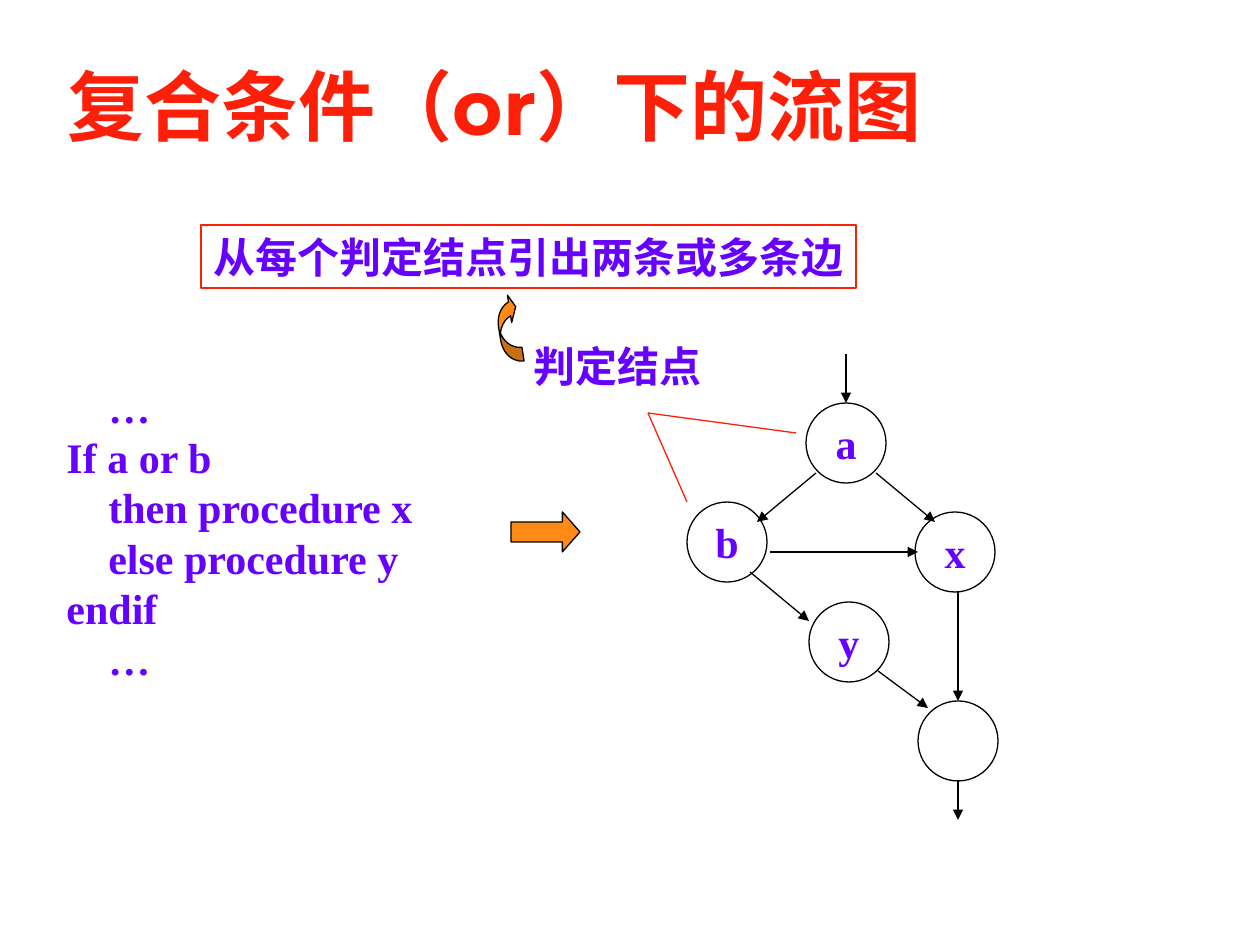
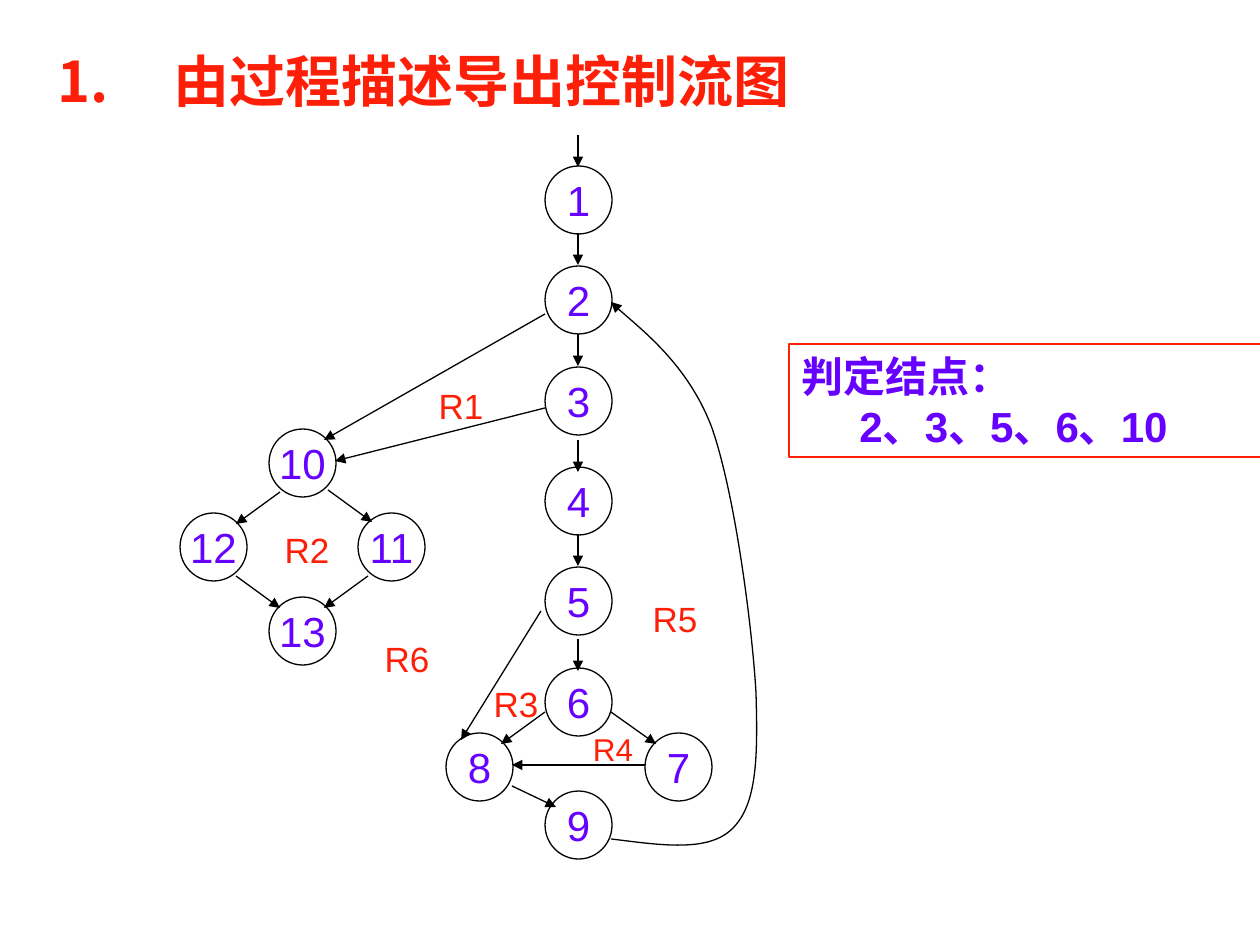
from dataclasses import dataclass
from lxml import etree
from pptx import Presentation
from pptx.dml.color import RGBColor
from pptx.enum.shapes import MSO_CONNECTOR, MSO_SHAPE
from pptx.enum.text import MSO_ANCHOR, MSO_AUTO_SIZE, PP_ALIGN
from pptx.oxml.ns import qn
from pptx.util import Emu, Pt

LINE = MSO_CONNECTOR.STRAIGHT
OVAL = MSO_SHAPE.OVAL
BLOCK = MSO_SHAPE.RIGHT_ARROW
BEND = MSO_SHAPE.CURVED_RIGHT_ARROW
MIDDLE = MSO_ANCHOR.MIDDLE
TOP = MSO_ANCHOR.TOP
GROW = MSO_AUTO_SIZE.SHAPE_TO_FIT_TEXT
LEFT = PP_ALIGN.LEFT
CENTER = PP_ALIGN.CENTER
SCALE = 914400 / 126


@dataclass(frozen=True)
class Theme:
    red: RGBColor = RGBColor(0xFE, 0x1F, 0x08)
    violet: RGBColor = RGBColor(0x66, 0x00, 0xFF)
    orange: RGBColor = RGBColor(0xFF, 0x8B, 0x17)
    black: RGBColor = RGBColor(0, 0, 0)
    head: str = "Montserrat"
    serif: str = "Times New Roman"
    sans: str = "Arial"
    big: int = 44
    title: int = 32
    body: int = 24
    mark: int = 20
    small: int = 18
    rule: float = 0.75


THEME = Theme()


def px(*nums):
    return [Emu(round(n * SCALE)) for n in nums]


def style(para, font, size, color, bold):
    para.font.name = font
    para.font.size = Pt(size)
    para.font.color.rgb = color
    para.font.bold = bold


def write(shape, lines, font, size, color, bold, align=CENTER, anchor=MIDDLE):
    frame = shape.text_frame
    frame.vertical_anchor = anchor
    frame.word_wrap = False
    for num, text in enumerate(lines):
        para = frame.add_paragraph() if num else frame.paragraphs[0]
        para.text = text
        para.alignment = align
        style(para, font, size, color, bold)
    return frame


def stroke(shape, color):
    shape.line.color.rgb = color
    shape.line.width = Pt(THEME.rule)


def tip(shape):
    line = shape.element.spPr.find(qn("a:ln"))
    etree.SubElement(line, qn("a:tailEnd"), type="triangle")


def title(slide, box, text, size):
    shape = slide.shapes.add_textbox(*px(*box))
    frame = write(shape, [text], THEME.head, size, THEME.red, True, LEFT)
    frame.word_wrap = True
    return frame.paragraphs[0]


def number(para, hang):
    props = para._p.get_or_add_pPr()
    props.set("marL", str(px(hang)[0]))
    props.set("indent", str(px(-hang)[0]))
    tint = etree.SubElement(props, qn("a:buClr"))
    etree.SubElement(tint, qn("a:srgbClr"), val=str(THEME.red))
    etree.SubElement(props, qn("a:buFont"), typeface=THEME.head)
    etree.SubElement(props, qn("a:buAutoNum"), type="arabicPeriod")


def label(slide, box, lines, font, size, color, bold=False, align=CENTER, frame=False):
    shape = slide.shapes.add_textbox(*px(*box))
    text = write(shape, lines, font, size, color, bold, align, TOP)
    text.auto_size = GROW
    if frame:
        stroke(shape, THEME.red)
    return text


def solid(slide, kind, box, adjust):
    shape = slide.shapes.add_shape(kind, *px(*box))
    shape.shadow.inherit = False
    shape.fill.solid()
    shape.fill.fore_color.rgb = THEME.orange
    stroke(shape, THEME.black)
    for num, part in enumerate(adjust):
        shape.adjustments[num] = part
    return shape


def node(slide, box, text, font, bold):
    shape = slide.shapes.add_shape(OVAL, *px(*box))
    shape.shadow.inherit = False
    shape.fill.background()
    stroke(shape, THEME.black)
    if text:
        write(shape, [text], font, THEME.body, THEME.violet, bold)


def link(slide, ends, color=THEME.black, arrow=True):
    shape = slide.shapes.add_connector(LINE, *px(*ends))
    stroke(shape, color)
    if arrow:
        tip(shape)
    etree.SubElement(shape.element.spPr, qn("a:effectLst"))


def curve(slide, points):
    pen = slide.shapes.build_freeform(*points[0], scale=SCALE)
    pen.add_line_segments(points[1:], close=False)
    shape = pen.convert_to_shape()
    shape.shadow.inherit = False
    shape.fill.background()
    stroke(shape, THEME.black)
    tip(shape)
    route = shape.element.spPr.find(".//" + qn("a:path"))
    steps = route.findall(qn("a:lnTo"))
    for start in range(0, len(steps), 3):
        bend = etree.SubElement(route, qn("a:cubicBezTo"))
        for step in steps[start:start + 3]:
            bend.append(step[0])
            route.remove(step)


def choice(slide):
    title(slide, (55, 35, 1142, 139), "复合条件（or）下的流图", THEME.big)
    label(slide, (521, 334, 193, 63), ["判定结点"], THEME.serif, THEME.body,
          THEME.violet, True)
    for end in ((687, 502), (796, 433)):
        link(slide, (648, 413, *end), THEME.red, False)
    solid(slide, BLOCK, (511, 512, 69, 40), (0.5, 0.44))

    for text, left, top in (("a", 806, 403), ("", 918, 701), ("x", 915, 512),
                            ("b", 687, 502), ("y", 809, 602)):
        node(slide, (left, top, 80, 80), text, THEME.serif, True)
    for ends in ((846, 354, 846, 403), (816, 473, 757, 522), (876, 473, 935, 522),
                 (750, 572, 809, 621), (770, 552, 918, 552), (958, 780, 958, 820),
                 (878, 671, 928, 708), (958, 592, 958, 701)):
        link(slide, ends)

    label(slide, (201, 225, 655, 63), ["从每个判定结点引出两条或多条边"],
          THEME.serif, THEME.body, THEME.violet, True, frame=True)
    arc = solid(slide, BEND, (499, 294, 20, 69), (0.7, 1.39, 0.32))
    arc.element.spPr.find(qn("a:xfrm")).set("flipV", "1")
    arc.rotation = 351.2

    code = ["    …", "If a or b", "    then procedure x", "    else procedure y",
            "endif", "    …"]
    frame = label(slide, (54, 375, 397, 315), code, THEME.serif, THEME.body,
                  THEME.violet, True, LEFT)
    frame.word_wrap = True


def flow(slide):
    para = title(slide, (45, 35, 1142, 90), "由过程描述导出控制流图", THEME.title)
    number(para, 116)
    style(para, THEME.head, THEME.title, THEME.red, True)
    frame = label(slide, (789, 344, 473, 113), ["判定结点：", "2、3、5、6、10"],
                  THEME.sans, THEME.body, THEME.violet, True, LEFT, True)
    frame.paragraphs[1]._p.get_or_add_pPr().set("marL", str(px(58)[0]))

    spots = [(str(num + 1), 545, 166 + round(num * 100.3)) for num in range(6)]
    spots += [("9", 545, 791), ("8", 446, 733), ("7", 645, 733)]
    spots += [(text, 269 + 89 * col, 429 + 84 * row) for text, col, row in
              (("10", 0, 0), ("12", -1, 1), ("11", 1, 1), ("13", 0, 2))]
    for text, left, top in spots:
        node(slide, (left, top, 67, 68), text, THEME.sans, False)

    for top in (135, 233, 334, 440, 534, 639):
        link(slide, (578, top, 578, top + 32))
    for ends in ((545, 712, 501, 744), (611, 712, 656, 744), (645, 765, 512, 765),
                 (512, 786, 556, 807), (545, 314, 324, 440), (545, 408, 335, 461),
                 (280, 492, 236, 524), (368, 576, 324, 608), (328, 490, 372, 522),
                 (236, 576, 280, 608), (541, 611, 461, 740)):
        link(slide, ends)
    curve(slide, [(611, 839), (660, 845), (709, 853), (733, 828), (757, 804),
                  (758, 757), (756, 692), (752, 625), (735, 494), (712, 428),
                  (688, 364), (629, 320), (611, 302)])

    for text, left, top in (("R1", 424, 378), ("R5", 638, 591), ("R2", 270, 522),
                            ("R3", 479, 676), ("R6", 370, 631)):
        label(slide, (left, top, 74, 55), [text], THEME.sans, THEME.mark, THEME.red)
    label(slide, (578, 724, 70, 50), ["R4"], THEME.sans, THEME.small, THEME.red)


def main():
    deck = Presentation()
    deck.slide_width, deck.slide_height = px(1260, 945)
    blank = deck.slide_layouts[6]
    for build in (choice, flow):
        build(deck.slides.add_slide(blank))
    deck.save("out.pptx")


if __name__ == "__main__":
    main()
